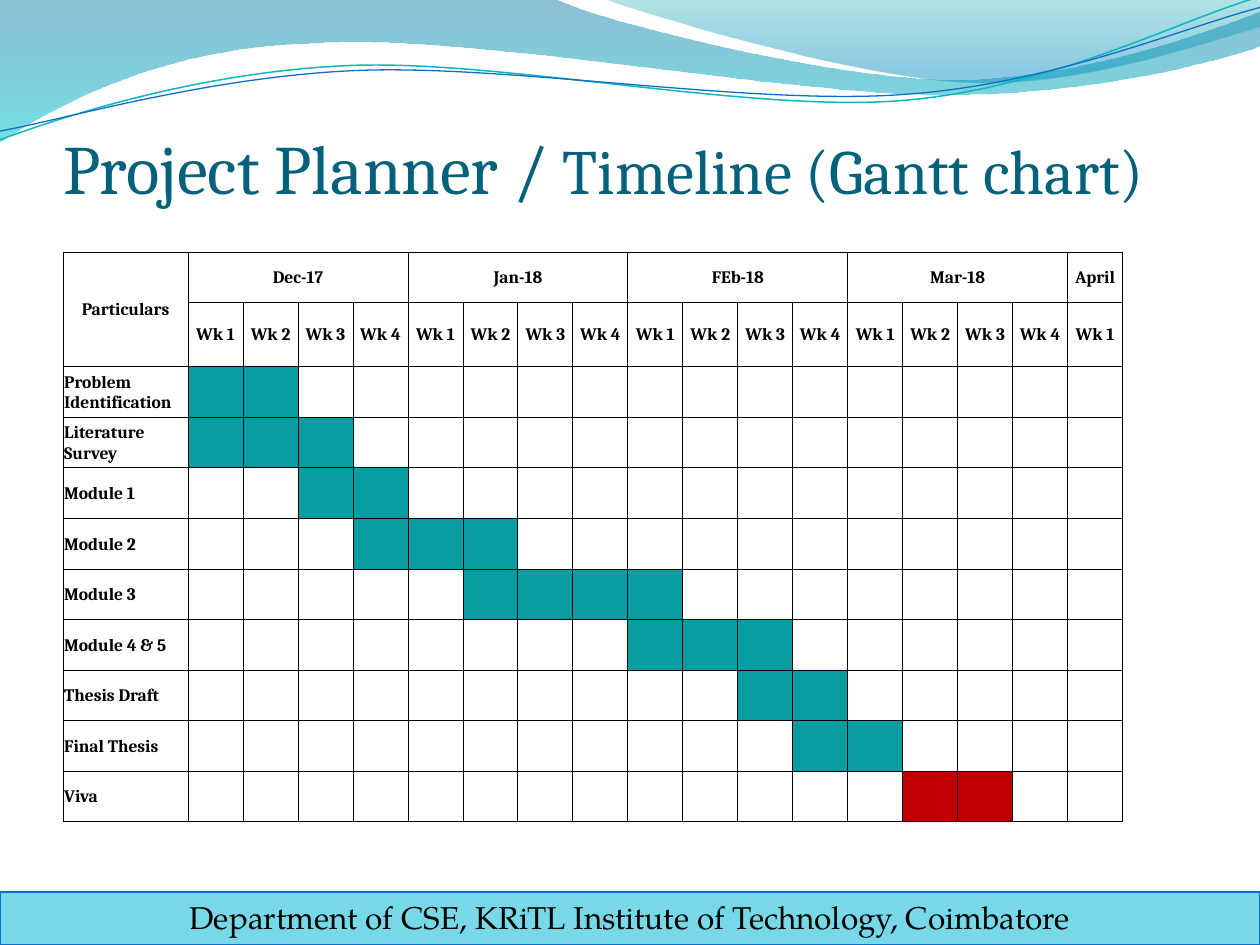
import math

from lxml import etree
from pptx import Presentation
from pptx import util as u
from pptx.dml.color import RGBColor
from pptx.enum import shapes, text
from pptx.oxml import ns

COLORS = {"title": "04617B", "black": "000000", "task": "089CA3", "viva": "C00000",
          "footer": "77D9E8", "blue": "0F6FC6", "teal": "0AB8BF"}
HEADING = [("Project Planner / ", 39.6), ("Timeline (Gantt chart)", 36)]
FOOTER = "Department of CSE, KRiTL Institute of Technology, Coimbatore"
MONTHS = [("Dec-17", 4), ("Jan-18", 4), ("FEb-18", 4), ("Mar-18", 4), ("April", 1)]
# Task, first week, last week, colour
TASKS = [
    ("Problem Identification", 1, 2, "task"),
    ("Literature Survey", 1, 3, "task"),
    ("Module 1", 3, 4, "task"),
    ("Module 2", 4, 6, "task"),
    ("Module 3", 6, 9, "task"),
    ("Module 4 & 5", 9, 11, "task"),
    ("Thesis Draft", 11, 12, "task"),
    ("Final Thesis", 12, 13, "task"),
    ("Viva", 14, 15, "viva"),
]
# Each step holds one point for a line, or three points for a Bezier curve
BANDS = [
    {"start": (0, 0), "steps": [
        [(4.4, -0.01)],
        [(4.76, 0.17), (6.64, 0.63), (7.58, 0.63)],
        [(8.53, 0.63), (9.58, 0.26), (10, 0.09)],
        [(10.01, 0.36)],
        [(9.83, 0.44), (8.7, 0.76), (7.46, 0.75)],
        [(6.22, 0.75), (3.82, 0.28), (2.57, 0.34)],
        [(1.29, 0.36), (0.46, 0.83), (-0.01, 1.13)],
        [(0, 0)]],
     "stops": [(0, "0074A1", 45), (1, "00C6CF", 55)]},
    {"start": (4.79, -0.01), "steps": [
        [(5.09, 0.11), (6.82, 0.62), (7.69, 0.65)],
        [(8.56, 0.69), (9.61, 0.32), (10, 0.21)],
        [(10, 0)],
        [(4.79, -0.01)]],
     "stops": [(0, "00A1A9", 30), (0.8, "008BBF", 45)]},
]
THREADS = [
    {"start": (0, 1.11), "steps": [
        [(0.48, 0.93), (1.58, 0.57), (2.77, 0.52)],
        [(3.95, 0.47), (5.93, 0.89), (7.13, 0.8)],
        [(8.33, 0.71), (9.38, 0.15), (9.98, -0.02)]],
     "center": (4.99, 0.58), "line": ("teal", 0.85)},
    {"start": (0, 1.04), "steps": [
        [(0.47, 0.96), (1.64, 0.61), (2.83, 0.56)],
        [(4.03, 0.51), (5.97, 0.84), (7.17, 0.75)],
        [(8.36, 0.67), (9.41, 0.21), (10, 0.06)]],
     "center": (5, 0.59), "line": ("blue", 0.75)},
]
TILT = 2.7


def rgb(name):
    """Return the named colour."""
    return RGBColor.from_string(COLORS[name])


def set_all(target, **values):
    """Set several attributes on one object."""
    for name, value in values.items():
        setattr(target, name, value)


def add_run(paragraph, words, size, font, color="black", bold=False):
    """Add one formatted run."""
    run = paragraph.add_run()
    run.text = words
    set_all(run.font, size=u.Pt(size), name=font, bold=bold)
    run.font.color.rgb = rgb(color)


def turn(point, center, degrees):
    """Turn a point clockwise about a center."""
    angle = math.radians(degrees)
    x, y = point[0] - center[0], point[1] - center[1]
    return (center[0] + x * math.cos(angle) - y * math.sin(angle),
            center[1] + x * math.sin(angle) + y * math.cos(angle))


def add_curve(container, start, steps, center=(0, 0), tilt=0):
    """Draw an outline of lines and Bezier curves."""
    points = [turn(point, center, tilt) for point in [start, *sum(steps, [])]]
    points = [(u.Inches(x), u.Inches(y)) for x, y in points]
    builder = container.build_freeform(*points[0])
    builder.add_line_segments(points[1:], close=False)
    shape = builder.convert_to_shape()
    segments = iter(shape.element.xpath(".//a:path/a:lnTo"))
    for step in steps:
        parts = [next(segments) for _ in step]
        if len(parts) == 3:
            curve = etree.Element(ns.qn("a:cubicBezTo"))
            parts[0].addprevious(curve)
            for part in parts:
                curve.append(part[0])
                part.getparent().remove(part)
    shape.rotation = -tilt % 360
    shape.shadow.inherit = False
    return shape


def add_band(slide, band):
    """Draw a wave with a transparent gradient."""
    shape = add_curve(slide.shapes, band["start"], band["steps"])
    outline = shape.element.xpath(".//a:path")[0]
    etree.SubElement(outline, ns.qn("a:close"))
    shape.line.fill.background()
    shape.fill.gradient()
    shape.fill.gradient_angle = 270
    for stop, (position, color, _) in zip(shape.fill.gradient_stops, band["stops"]):
        stop.position = position
        stop.color.rgb = RGBColor.from_string(color)
    for element, (_, _, opacity) in zip(shape.element.xpath(".//a:gs/a:srgbClr"), band["stops"]):
        etree.SubElement(element, ns.qn("a:alpha"), val=str(opacity * 1000))


def add_thread(group, thread):
    """Draw a thin tilted curve."""
    shape = add_curve(group.shapes, thread["start"], thread["steps"], thread["center"], TILT)
    color, width = thread["line"]
    shape.fill.background()
    shape.line.color.rgb = rgb(color)
    shape.line.width = u.Pt(width)


def add_title(slide):
    """Place the title in front of the waves."""
    title = slide.shapes.title
    slide.shapes.element.append(title.element)
    set_all(title, left=u.Inches(0.5), top=u.Inches(0.92),
            width=u.Inches(9), height=u.Inches(0.73))
    set_all(title.text_frame, margin_left=0, margin_right=0, margin_top=u.Inches(0.05),
            margin_bottom=0, vertical_anchor=text.MSO_ANCHOR.BOTTOM,
            auto_size=text.MSO_AUTO_SIZE.NONE, word_wrap=True)
    paragraph = title.text_frame.paragraphs[0]
    paragraph.alignment = text.PP_ALIGN.LEFT
    for words, size in HEADING:
        add_run(paragraph, words, size, "Cambria", "title")


def add_footer(slide):
    """Draw the band along the bottom edge."""
    band = slide.shapes.add_shape(shapes.MSO_SHAPE.RECTANGLE, 0, u.Inches(7.08),
                                  u.Inches(10), u.Inches(0.42))
    band.shadow.inherit = False
    band.fill.solid()
    band.fill.fore_color.rgb = rgb("footer")
    band.line.color.rgb = rgb("blue")
    band.line.width = u.Pt(0.75)
    set_all(band.text_frame, vertical_anchor=text.MSO_ANCHOR.TOP, word_wrap=True,
            auto_size=text.MSO_AUTO_SIZE.SHAPE_TO_FIT_TEXT)
    paragraph = band.text_frame.paragraphs[0]
    paragraph.alignment = text.PP_ALIGN.CENTER
    add_run(paragraph, FOOTER, 18, "TeX Gyre Pagella")


def format_cell(cell):
    """Give a cell thin borders, small margins and no fill."""
    properties = cell._tc.get_or_add_tcPr()
    for side in ("lnL", "lnR", "lnT", "lnB"):
        line = etree.SubElement(properties, ns.qn(f"a:{side}"), w=str(u.Pt(0.5)))
        fill = etree.SubElement(line, ns.qn("a:solidFill"))
        etree.SubElement(fill, ns.qn("a:srgbClr"), val=COLORS["black"])
    margin = u.Inches(0.01)
    set_all(cell, margin_left=margin, margin_right=margin, margin_top=margin,
            margin_bottom=0, vertical_anchor=text.MSO_ANCHOR.MIDDLE)
    cell.fill.background()


def write_cell(cell, words, align=text.PP_ALIGN.CENTER):
    """Write a bold label in a cell."""
    paragraph = cell.text_frame.paragraphs[0]
    paragraph.alignment = align
    add_run(paragraph, words, 10, "Cambria", bold=True)


def add_gantt(slide):
    """Build the Gantt table from months and tasks."""
    weeks = sum(count for _, count in MONTHS)
    table = slide.shapes.add_table(len(TASKS) + 2, weeks + 1, u.Inches(0.5), u.Inches(2),
                                   u.Inches(8.42), u.Inches(4.52)).table
    set_all(table, first_row=False, horz_banding=False)
    for index, column in enumerate(table.columns):
        column.width = u.Inches(7.42 / weeks) if index else u.Pt(71.5)
    for index, row in enumerate(table.rows):
        row.height = u.Inches(0.51) if index == 1 else u.Pt(28.9)
    for cell in table.iter_cells():
        format_cell(cell)
    table.cell(0, 0).merge(table.cell(1, 0))
    write_cell(table.cell(0, 0), "Particulars")
    first = 1
    for month, count in MONTHS:
        if count > 1:
            table.cell(0, first).merge(table.cell(0, first + count - 1))
        write_cell(table.cell(0, first), month)
        for week in range(count):
            write_cell(table.cell(1, first + week), f"Wk {week + 1}")
        first += count
    for row, (task, start, end, color) in enumerate(TASKS, 2):
        write_cell(table.cell(row, 0), task, text.PP_ALIGN.LEFT)
        for week in range(start, end + 1):
            fill = table.cell(row, week).fill
            fill.solid()
            fill.fore_color.rgb = rgb(color)


presentation = Presentation()
set_all(presentation, slide_width=u.Inches(10), slide_height=u.Inches(7.5))
slide = presentation.slides.add_slide(presentation.slide_layouts[5])
for band in BANDS:
    add_band(slide, band)
threads = slide.shapes.add_group_shape()
for thread in THREADS:
    add_thread(threads, thread)
add_title(slide)
add_footer(slide)
add_gantt(slide)
presentation.save("out.pptx")
